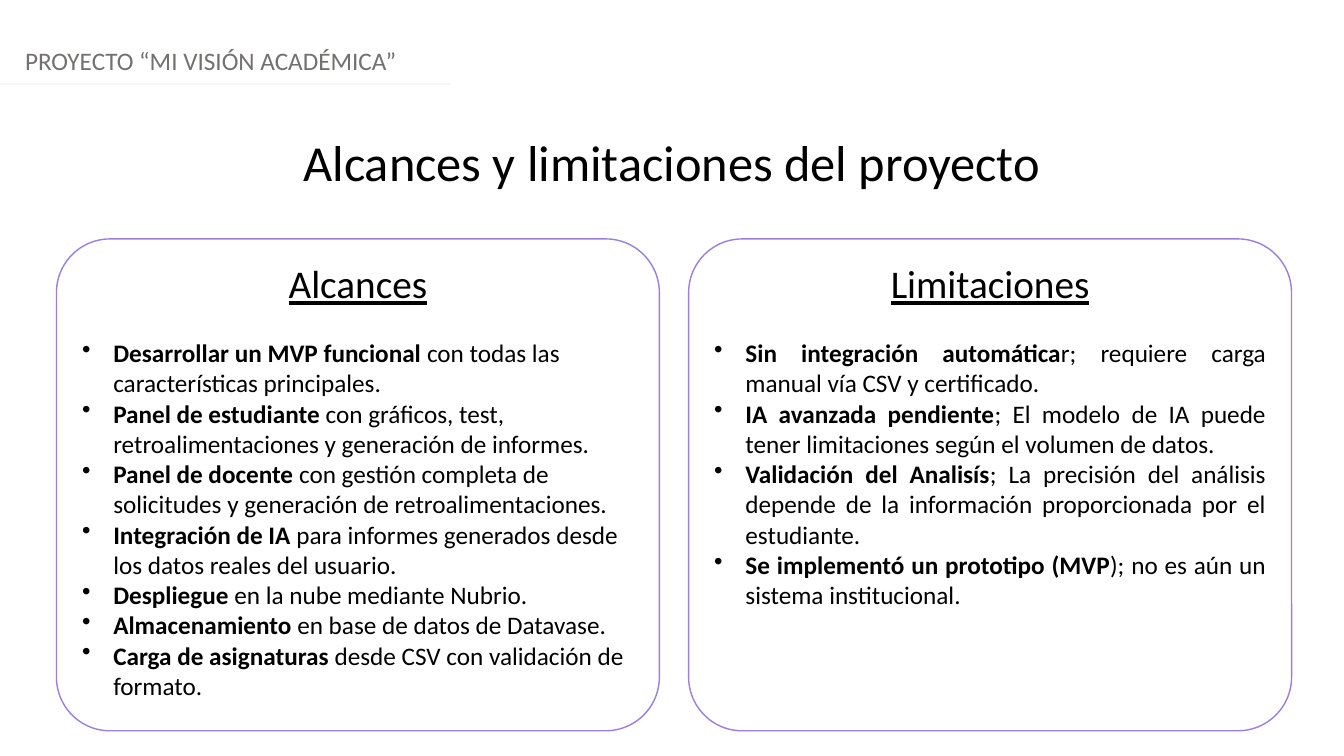
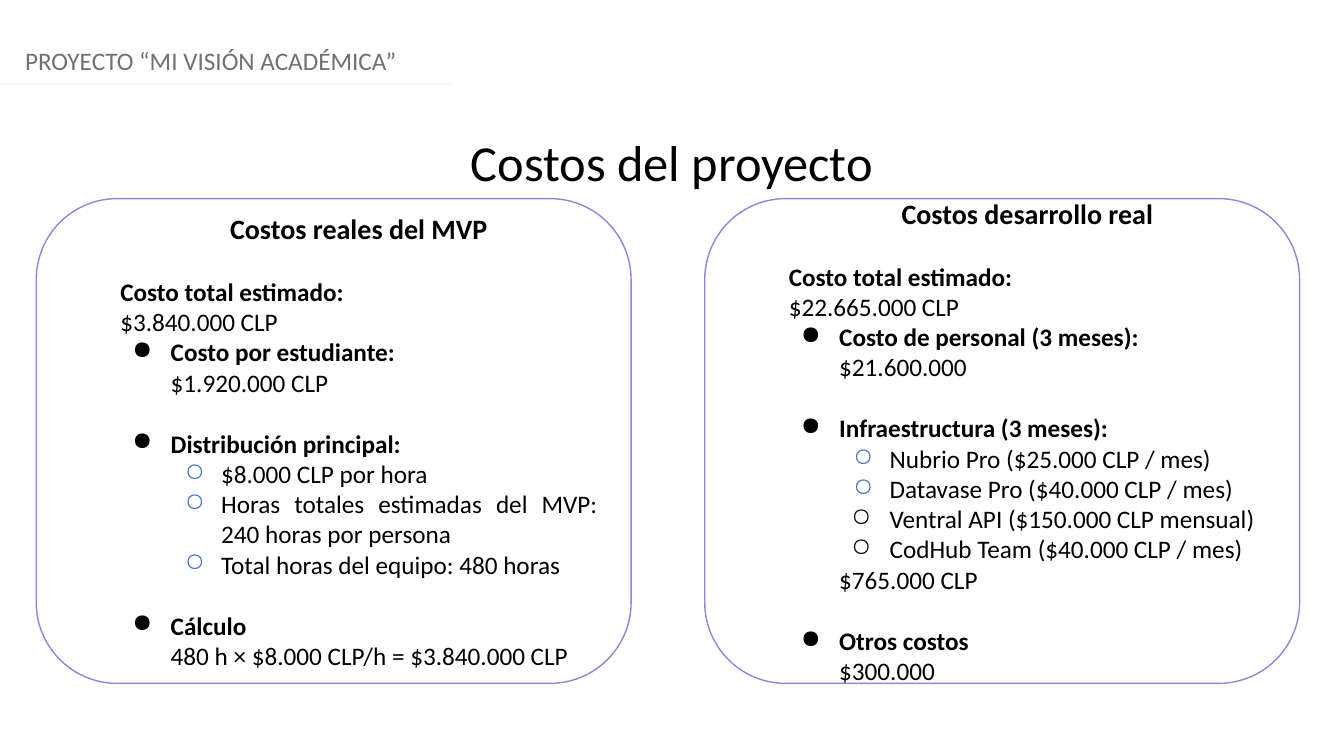
from lxml import etree
from pptx import Presentation
from pptx.dml.color import RGBColor
from pptx.enum import shapes, text
from pptx.oxml import ns
from pptx.util import Inches, Pt

# Shared look
COLORS = {
    "paper": "FFFFFF",
    "ink": "000000",
    "header": "757070",
    "rule": "F5F7FC",
    "border": "9C7FDC",
    "accent": "4472C4",
}
FONT = "Calibri"
PROJECT = "PROYECTO “MI VISIÓN ACADÉMICA”"
SLIDE_WIDTH, SLIDE_HEIGHT = 13.33, 7.5
LINE_GAP = 22  # one line of 18 pt text

LEFT, CENTER, JUSTIFY = (text.PP_ALIGN.LEFT, text.PP_ALIGN.CENTER,
                         text.PP_ALIGN.JUSTIFY)

# Paragraph styles of the panels
STYLES = {
    "heading": dict(size=28, align=CENTER, underline=True, after=LINE_GAP),
    "point": dict(indent=(0.31, -0.31), bullet="•"),
    "cost_heading": dict(size=20, align=CENTER, bold=True, indent=(0.5, 0),
                         after=LINE_GAP),
    "total": dict(bold=True, indent=(0.5, 0)),
    "total_value": dict(indent=(0.5, 0)),
    "item": dict(bold=True, indent=(1, -0.38), bullet="●"),
    "item_value": dict(indent=(1, 0)),
    "detail": dict(indent=(1.5, -0.36), bullet="○", bullet_color="accent",
                   level=1),
    "dark_detail": dict(indent=(1.5, -0.38), bullet="○", level=1),
}
STYLES["next_item"] = dict(STYLES["item"], before=LINE_GAP)

# Content: points are (bold part, plain part)
SCOPE = [
    ("Desarrollar un MVP funcional ",
     "con todas las características principales."),
    ("Panel de estudiante",
     " con gráficos, test, retroalimentaciones y generación de informes."),
    ("Panel de docente ",
     "con gestión completa de solicitudes y generación de retroalimentaciones."),
    ("Integración de IA ",
     "para informes generados desde los datos reales del usuario."),
    ("Despliegue ", "en la nube mediante Nubrio."),
    ("Almacenamiento", " en base de datos de Datavase."),
    ("Carga de asignaturas ", "desde CSV con validación de formato."),
]
LIMITS = [
    ("Sin integración automática",
     "r; requiere carga manual vía CSV y certificado."),
    ("IA avanzada pendiente",
     "; El modelo de IA puede tener limitaciones según el volumen de datos."),
    ("Validación del Analisís",
     "; La precisión del análisis depende de la información proporcionada "
     "por el estudiante."),
    ("Se implementó un prototipo (MVP",
     "); no es aún un sistema institucional."),
]
MVP_COSTS = [
    ("cost_heading", "Costos reales del MVP"),
    ("total", "Costo total estimado:"),
    ("total_value", "$3.840.000 CLP"),
    ("item", "Costo por estudiante:"),
    ("item_value", "$1.920.000 CLP"),
    ("next_item", "Distribución principal:"),
    ("detail", "$8.000 CLP por hora"),
    ("detail", "Horas totales estimadas del MVP: 240 horas por persona"),
    ("detail", "Total horas del equipo: 480 horas"),
    ("next_item", "Cálculo"),
    ("item_value", "480 h × $8.000 CLP/h = $3.840.000 CLP"),
]
REAL_COSTS = [
    ("cost_heading", "Costos desarrollo real"),
    ("total", "Costo total estimado:"),
    ("total_value", "$22.665.000 CLP"),
    ("item", "Costo de personal (3 meses):"),
    ("item_value", "$21.600.000"),
    ("next_item", "Infraestructura (3 meses):"),
    ("detail", "Nubrio Pro ($25.000 CLP / mes)"),
    ("detail", "Datavase Pro ($40.000 CLP / mes)"),
    ("dark_detail", "Ventral API ($150.000 CLP mensual)"),
    ("dark_detail", "CodHub Team ($40.000 CLP / mes)"),
    ("item_value", "$765.000 CLP"),
    ("next_item", "Otros costos"),
    ("item_value", "$300.000"),
]


def rgb(name):
    return RGBColor.from_string(COLORS[name])


def set_font(paragraph, size, color="ink", bold=None, underline=None):
    font = paragraph.font
    font.name, font.size = FONT, Pt(size)
    font.bold, font.underline = bold, underline
    font.color.rgb = rgb(color)


def set_indent(paragraph, left, first, bullet=None, color="ink"):
    """Indent a paragraph and give it an optional coloured bullet."""
    properties = paragraph._p.get_or_add_pPr()
    properties.set("marL", str(Inches(left)))
    properties.set("indent", str(Inches(first)))
    if bullet:
        tint = etree.SubElement(properties, ns.qn("a:buClr"))
        etree.SubElement(tint, ns.qn("a:srgbClr"), val=COLORS[color])
        etree.SubElement(properties, ns.qn("a:buChar"), char=bullet)


def write_paragraph(paragraph, content, size=18, align=JUSTIFY, bold=None,
                    underline=None, indent=(0, 0), bullet=None,
                    bullet_color="ink", level=0, before=0, after=0):
    paragraph.level = level
    set_indent(paragraph, *indent, bullet, bullet_color)
    paragraph.alignment = align
    paragraph.space_before, paragraph.space_after = Pt(before), Pt(after)
    set_font(paragraph, size, bold=bold, underline=underline)
    if isinstance(content, str):
        paragraph.add_run().text = content
        return
    for part, is_bold in zip(content, (True, False)):
        run = paragraph.add_run()
        run.text = part
        run.font.bold = is_bold


def add_label(slide, content, left, top, width, height, size, color, align):
    frame = slide.shapes.add_textbox(
        Inches(left), Inches(top), Inches(width), Inches(height)).text_frame
    frame.word_wrap = True
    frame.auto_size = text.MSO_AUTO_SIZE.SHAPE_TO_FIT_TEXT
    label = frame.paragraphs[0]
    label.text = content
    label.alignment = align
    set_font(label, size, color)


def add_rule(slide, length, top):
    rule = slide.shapes.add_connector(
        shapes.MSO_CONNECTOR.STRAIGHT,
        0, Inches(top), Inches(length), Inches(top))
    rule.line.color.rgb = rgb("rule")
    rule.line.width = Pt(1.25)
    etree.SubElement(rule._element.spPr, ns.qn("a:effectLst"))


def add_panel(slide, box, rounding, anchor, entries, **overrides):
    """Rounded panel; entries are (style name, content)."""
    panel = slide.shapes.add_shape(
        shapes.MSO_SHAPE.ROUNDED_RECTANGLE, *map(Inches, box))
    panel.adjustments[0] = rounding
    panel.shadow.inherit = False
    panel.fill.solid()
    panel.fill.fore_color.rgb = rgb("paper")
    panel.line.color.rgb = rgb("border")
    panel.line.width = Pt(1)
    frame = panel.text_frame
    frame.word_wrap = True
    frame.vertical_anchor = anchor
    for index, (style, content) in enumerate(entries):
        paragraph = frame.add_paragraph() if index else frame.paragraphs[0]
        write_paragraph(paragraph, content, **{**overrides, **STYLES[style]})


def add_base_slide(deck, title):
    """Slide with the project header, its rule and a centred title."""
    slide = deck.slides.add_slide(deck.slide_layouts[6])
    add_label(slide, PROJECT, 0.15, 0.4, 13, 0.4, 18, "header", LEFT)
    add_label(slide, title, 0, 1.25, SLIDE_WIDTH, 0.71, 36, "ink", CENTER)
    add_rule(slide, 4.47, 0.83)
    return slide


def add_scope_slide(deck):
    slide = add_base_slide(deck, "Alcances y limitaciones del proyecto")
    columns = [(0.56, "Alcances", SCOPE, LEFT),
               (6.83, "Limitaciones", LIMITS, JUSTIFY)]
    for left, heading, points, align in columns:
        entries = [("heading", heading)] + [("point", p) for p in points]
        add_panel(slide, (left, 2.37, 5.98, 4.88), 0.109,
                  text.MSO_ANCHOR.TOP, entries, align=align)


def add_cost_slide(deck):
    slide = add_base_slide(deck, "Costos del proyecto")
    for left, entries in [(0.36, MVP_COSTS), (6.99, REAL_COSTS)]:
        add_panel(slide, (left, 1.97, 5.9, 4.81), 0.167,
                  text.MSO_ANCHOR.MIDDLE, entries)


def main():
    deck = Presentation()
    deck.slide_width = Inches(SLIDE_WIDTH)
    deck.slide_height = Inches(SLIDE_HEIGHT)
    add_scope_slide(deck)
    add_cost_slide(deck)
    deck.save("out.pptx")


if __name__ == "__main__":
    main()
